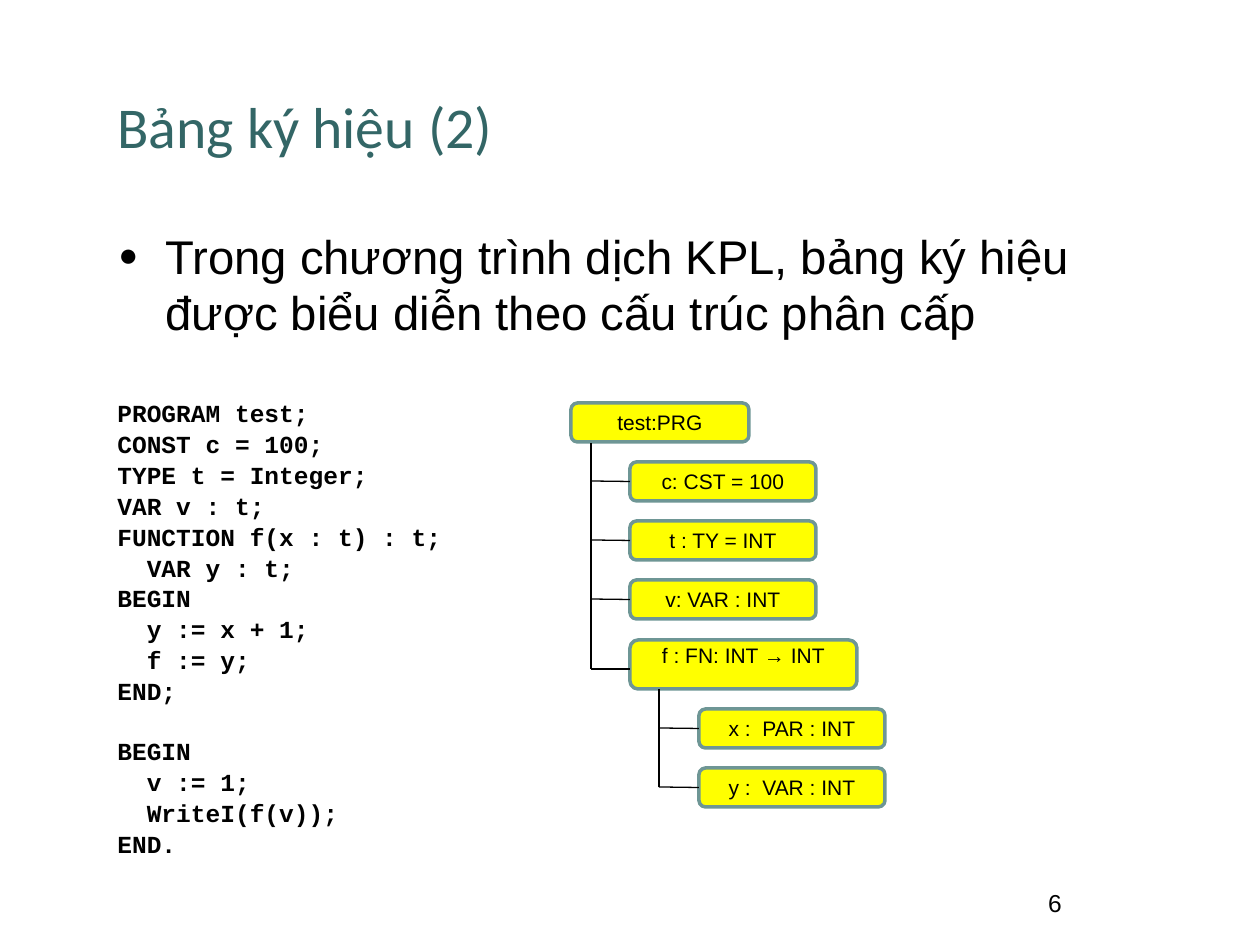
import dataclasses
import typing

import lxml.etree
import pptx
import pptx.dml.color
import pptx.enum.shapes
import pptx.enum.text
import pptx.oxml.ns
import pptx.util

RGB = pptx.dml.color.RGBColor
BLACK = RGB(0x00, 0x00, 0x00)
TEAL = RGB(0x33, 0x66, 0x66)
EDGE = RGB(0x6E, 0x96, 0x95)
YELLOW = RGB(0xFF, 0xFF, 0x00)
ALIGN = pptx.enum.text.PP_ALIGN
ANCHOR = pptx.enum.text.MSO_ANCHOR
SHAPE = pptx.enum.shapes.MSO_SHAPE
LINE = pptx.enum.shapes.MSO_CONNECTOR
SCALE = 914400 / 126

CODE = """PROGRAM test;
CONST c = 100;
TYPE t = Integer;
VAR v : t;
FUNCTION f(x : t) : t;
  VAR y : t;
BEGIN
  y := x + 1;
  f := y;
END;

BEGIN
  v := 1;
  WriteI(f(v));
END."""


@dataclasses.dataclass(frozen=True)
class Node:
    text: str
    left: int
    top: int
    width: int = 186
    height: int = 39


@dataclasses.dataclass(frozen=True)
class Branch:
    stem: int
    start: int
    end: int
    nodes: tuple[Node, ...]


ROOT = Node("test:PRG", 571, 403, 178)
LEAVES = tuple(
    Node(text, 630, 462 + 59 * row)
    for row, text in enumerate(("c: CST = 100", "t : TY = INT", "v: VAR : INT"))
)
FUNC = Node("f : FN: INT → INT", 630, 640, 227, 49)
LOCALS = tuple(
    Node(text, 699, 709 + 59 * row)
    for row, text in enumerate(("x :  PAR : INT", "y :  VAR : INT"))
)
BRANCHES = (
    Branch(591, 443, 669, LEAVES),
    Branch(659, 689, 787, LOCALS),
)


def px(*sizes: int) -> list[pptx.util.Emu]:
    """Turn pixel lengths into EMU."""
    return [pptx.util.Emu(round(size * SCALE)) for size in sizes]


def apply(target: typing.Any, values: dict[str, typing.Any]) -> None:
    """Set each named value on the target."""
    for name, value in values.items():
        setattr(target, name, value)


def write(para: typing.Any, text: str, face: str, size: int,
          color: RGB = BLACK, bold: bool = False) -> None:
    """Put one formatted run in a paragraph."""
    run = para.add_run()
    run.text = text
    apply(run.font, {"name": face, "size": pptx.util.Pt(size), "bold": bold})
    run.font.color.rgb = color


def add_box(slide: typing.Any, left: int, top: int, width: int, height: int,
            inset: int = 6) -> typing.Any:
    """Add a wrapping text box and return its frame."""
    frame = slide.shapes.add_textbox(*px(left, top, width, height)).text_frame
    apply(frame, {"word_wrap": True, "margin_top": px(inset)[0]})
    return frame


def add_title(slide: typing.Any) -> None:
    """Place and format the title."""
    title = slide.shapes.title
    apply(title, dict(zip(("left", "top", "width", "height"), px(105, 73, 1061, 93))))
    frame = title.text_frame
    apply(frame, {"vertical_anchor": ANCHOR.BOTTOM, "word_wrap": True,
                  "auto_size": pptx.enum.text.MSO_AUTO_SIZE.NONE})
    para = frame.paragraphs[0]
    para.alignment = ALIGN.LEFT
    write(para, "Bảng ký hiệu (2)", "Calibri", 33, TEAL)


def add_point(slide: typing.Any) -> None:
    """Add the bulleted statement."""
    para = add_box(slide, 106, 217, 1061, 557, 10).paragraphs[0]
    props = para._p.get_or_add_pPr()
    indent = px(47)[0]
    props.set("marL", str(indent))
    props.set("indent", str(-indent))
    for tag, key, value in (("a:buSzPct", "val", "70000"),
                            ("a:buFont", "typeface", "Arial"),
                            ("a:buChar", "char", "●")):
        lxml.etree.SubElement(props, pptx.oxml.ns.qn(tag)).set(key, value)
    write(para, "Trong chương trình dịch KPL, bảng ký hiệu "
          "được biểu diễn theo cấu trúc phân cấp", "Arial", 27)


def add_code(slide: typing.Any) -> None:
    """Add the program listing with a gap between its blocks."""
    frame = add_box(slide, 105, 394, 517, 478, 10)
    para = frame.paragraphs[0]
    for part, block in enumerate(CODE.split("\n\n")):
        for row, text in enumerate(block.splitlines()):
            if part or row:
                para = frame.add_paragraph()
                gap = 4.2 if row else 21.1
                para.space_before = pptx.util.Pt(gap)
            para.line_spacing = 0.8
            write(para, text, "Courier New", 14, bold=True)


def add_node(slide: typing.Any, node: Node) -> typing.Any:
    """Draw one symbol of the tree."""
    shape = slide.shapes.add_shape(
        SHAPE.ROUNDED_RECTANGLE, *px(node.left, node.top, node.width, node.height))
    shape.shadow.inherit = False
    shape.fill.solid()
    shape.fill.fore_color.rgb = YELLOW
    shape.line.color.rgb = EDGE
    shape.line.width = pptx.util.Pt(2)
    frame = shape.text_frame
    anchor = ANCHOR.TOP if node is FUNC else ANCHOR.MIDDLE
    apply(frame, {"word_wrap": True, "vertical_anchor": anchor,
                  "margin_top": 0, "margin_bottom": 0})
    para = frame.paragraphs[0]
    para.alignment = ALIGN.CENTER
    write(para, node.text, "Arial", 12)
    return shape


def add_line(slide: typing.Any, *ends: int) -> typing.Any:
    """Draw one thin black line."""
    line = slide.shapes.add_connector(LINE.STRAIGHT, *px(*ends))
    line.line.color.rgb = BLACK
    line.line.width = pptx.util.Pt(0.75)
    lxml.etree.SubElement(line._element.spPr, pptx.oxml.ns.qn("a:effectLst"))
    return line


def add_branch(slide: typing.Any, branch: Branch) -> None:
    """Draw a stem and its nodes, each joined by a stub."""
    add_line(slide, branch.stem, branch.start, branch.stem, branch.end)
    for node in branch.nodes:
        shape = add_node(slide, node)
        mid = node.top + node.height // 2
        stub = add_line(slide, branch.stem, mid, node.left, mid)
        stub.end_connect(shape, 1)


def main() -> None:
    """Build the slide and save it."""
    deck = pptx.Presentation()
    apply(deck, dict(zip(("slide_width", "slide_height"), px(1260, 945))))
    slide = deck.slides.add_slide(deck.slide_layouts.get_by_name("Title Only"))
    add_title(slide)
    add_point(slide)
    add_code(slide)
    for node in (ROOT, FUNC):
        add_node(slide, node)
    for branch in BRANCHES:
        add_branch(slide, branch)
    add_line(slide, 591, 669, FUNC.left, 669)
    para = add_box(slide, 945, 882, 220, 63).paragraphs[0]
    para.alignment = ALIGN.CENTER
    write(para, "6", "Arial", 14)
    deck.save("out.pptx")


if __name__ == "__main__":
    main()
